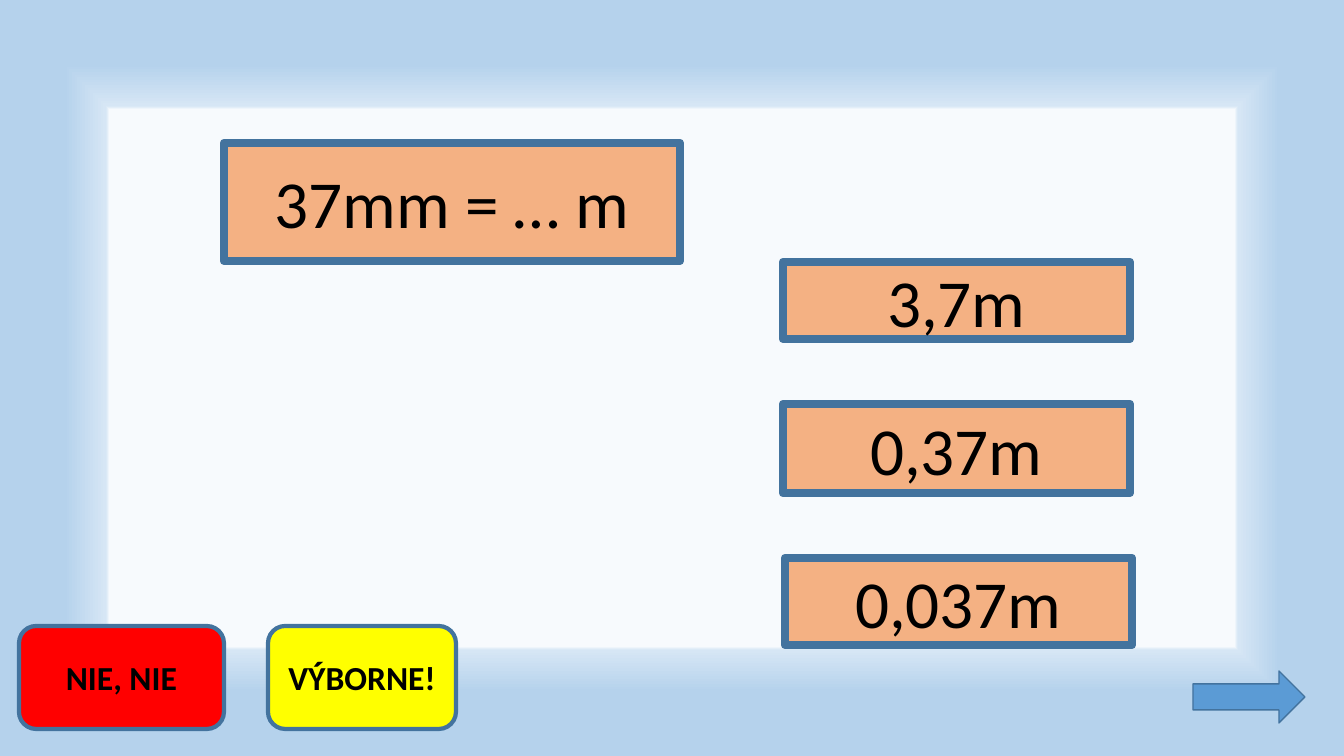
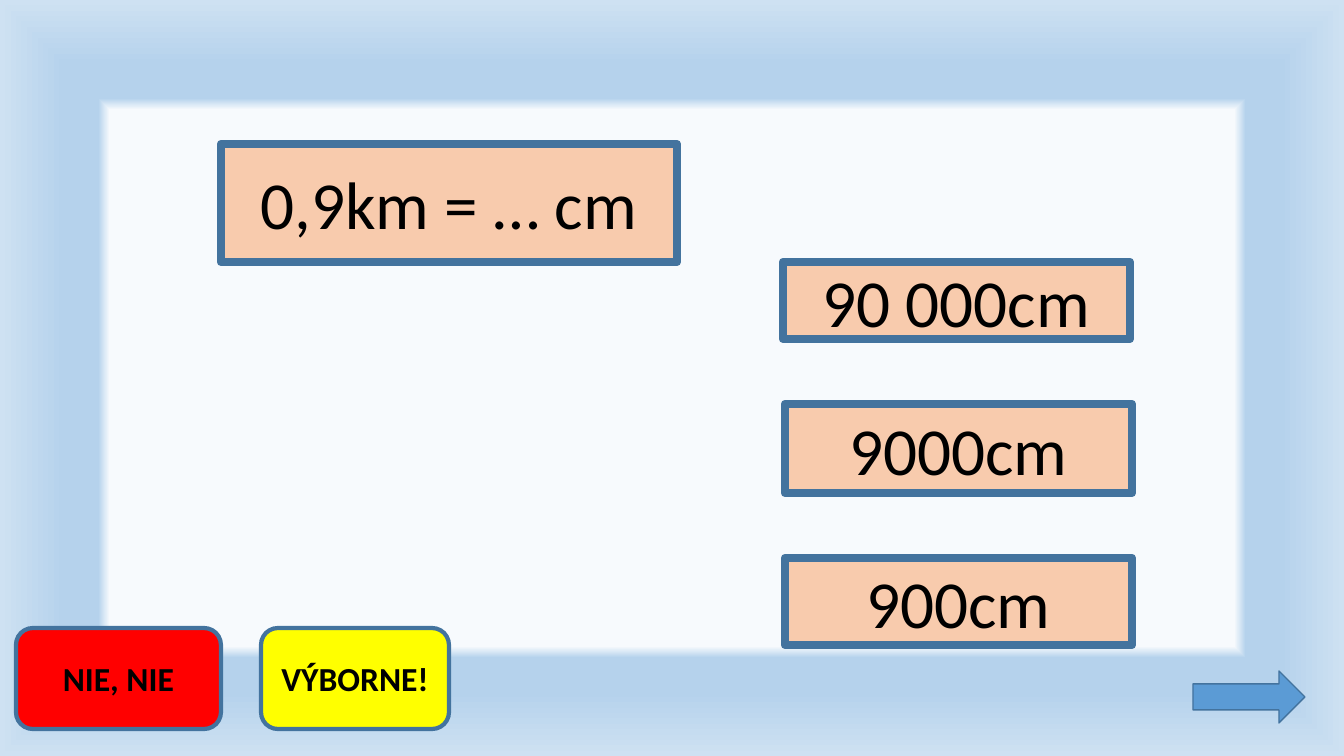
"""Build two unit-conversion quiz slides."""
from lxml import etree
from pptx import Presentation
from pptx.dml.color import RGBColor
from pptx.enum.shapes import MSO_SHAPE
from pptx.enum.text import MSO_ANCHOR, PP_ALIGN
from pptx.oxml.ns import qn
from pptx.util import Pt

RECTANGLE = MSO_SHAPE.RECTANGLE
ROUNDED = MSO_SHAPE.ROUNDED_RECTANGLE
ARROW = MSO_SHAPE.RIGHT_ARROW
MIDDLE = MSO_ANCHOR.MIDDLE
CENTER = PP_ALIGN.CENTER

EMU_PER_PX = 914400 / 100.8
SLIDE_SIZE = (1344, 756)
OUTLINE = "43739E"
RED, YELLOW, BLUE = "FF0000", "FFFF00", "5B9BD5"
BLACK = "000000"
CARD_FONT = {"name": "Calibri", "size": Pt(48), "bold": False}
BUTTON_FONT = {"name": "Calibri", "size": Pt(24), "bold": True}

QUESTION_SIZE = (456, 118)
ANSWER_WIDTH = 347
ANSWER_ROWS = [(262, 77), (404, 89), (558, 87)]
BUTTONS = [("NIE, NIE", RED), ("VÝBORNE!", YELLOW)]
NEXT_ARROW = (1193, 671, 112, 52)

QUIZZES = [
    {
        "stops": [(71, "F7FAFD"), (72, "D6E6F5"), (83, "B5D2EC"),
                  (100, "B5D2EC"), (100, "CEE1F2")],
        "card": "F4B183",
        "question": ("37mm = … m", 224, 143),
        "answers": [("3,7m", 783), ("0,37m", 783), ("0,037m", 785)],
        "button_row": (626, 103),
        "button_columns": [(19, 205), (268, 188)],
    },
    {
        "stops": [(71, "F7FAFD"), (74, "B5D2EC"), (83, "B5D2EC"),
                  (100, "CEE1F2")],
        "card": "F8CBAD",
        "question": ("0,9km = … cm", 221, 144),
        "answers": [("90 000cm", 783), ("9000cm", 785), ("900cm", 785)],
        "button_row": (628, 101),
        "button_columns": [(16, 205), (261, 188)],
    },
]


def px(length):
    return round(length * EMU_PER_PX)


def color(hex_value):
    return RGBColor.from_string(hex_value)


def set_background(slide, stops):
    slide.background.fill.gradient()
    gradient = next(slide.element.iter(qn("a:gradFill")))
    for child in list(gradient):
        gradient.remove(child)
    stop_list = etree.SubElement(gradient, qn("a:gsLst"))
    for position, hex_value in stops:
        stop = etree.SubElement(stop_list, qn("a:gs"), pos=str(position * 1000))
        etree.SubElement(stop, qn("a:srgbClr"), val=hex_value)
    shading = etree.SubElement(gradient, qn("a:path"), path="shape")
    etree.SubElement(shading, qn("a:fillToRect"), dict.fromkeys("ltrb", "50000"))


def add_box(slide, kind, frame, fill, line_width, text="", font_format=None):
    shape = slide.shapes.add_shape(kind, *map(px, frame))
    shape.shadow.inherit = False
    shape.fill.solid()
    shape.fill.fore_color.rgb = color(fill)
    shape.line.color.rgb = color(OUTLINE)
    shape.line.width = Pt(line_width)
    if text:
        shape.text_frame.vertical_anchor = MIDDLE
        paragraph = shape.text_frame.paragraphs[0]
        paragraph.alignment = CENTER
        run = paragraph.add_run()
        run.text = text
        run.font.color.rgb = color(BLACK)
        for name, value in font_format.items():
            setattr(run.font, name, value)


def add_quiz(presentation, quiz):
    slide = presentation.slides.add_slide(presentation.slide_layouts[6])
    set_background(slide, quiz["stops"])
    question, left, top = quiz["question"]
    cards = [(question, (left, top, *QUESTION_SIZE))]
    for (answer, left), (top, height) in zip(quiz["answers"], ANSWER_ROWS):
        cards.append((answer, (left, top, ANSWER_WIDTH, height)))
    for text, frame in cards:
        add_box(slide, RECTANGLE, frame, quiz["card"], 6, text, CARD_FONT)
    top, height = quiz["button_row"]
    for (text, fill), (left, width) in zip(BUTTONS, quiz["button_columns"]):
        frame = (left, top, width, height)
        add_box(slide, ROUNDED, frame, fill, 3, text, BUTTON_FONT)
    add_box(slide, ARROW, NEXT_ARROW, BLUE, 1)


def main():
    presentation = Presentation()
    presentation.slide_width, presentation.slide_height = map(px, SLIDE_SIZE)
    for quiz in QUIZZES:
        add_quiz(presentation, quiz)
    presentation.save("out.pptx")


if __name__ == "__main__":
    main()
